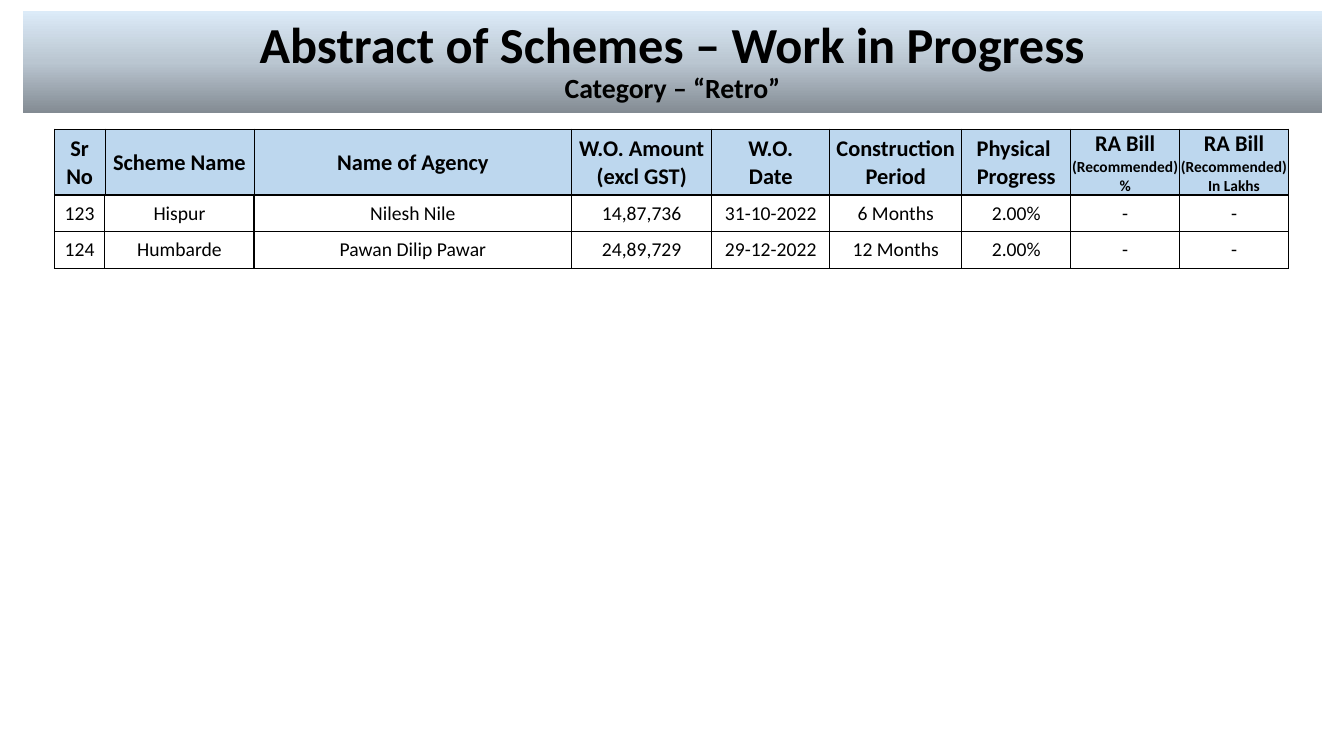
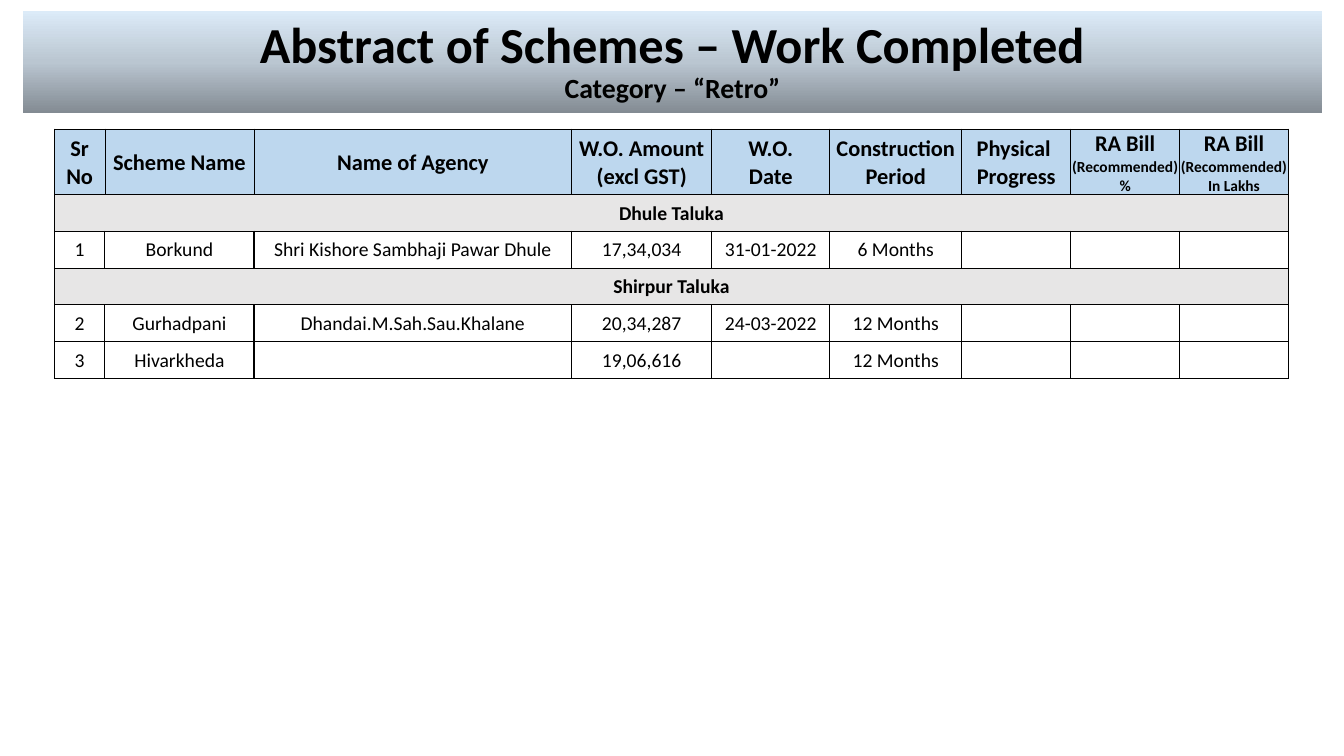
"""Build the two scheme abstract slides, each with a banner and a table."""
from lxml.etree import SubElement
from pptx import Presentation
from pptx.dml.color import RGBColor
from pptx.enum.text import MSO_ANCHOR, MSO_AUTO_SIZE, PP_ALIGN
from pptx.oxml.ns import qn
from pptx.util import Inches, Pt

BLACK, BLUE, GREY = "000000", "BDD7EE", "E7E6E6"
FADE = [(0, "838B93"), (50, "BAC6D1"), (100, "DCEBF8")]
FONT = "Calibri"
BANNER = {"left": 0.23, "top": 0.11, "width": 12.88, "height": 1.01}
LEFT, TOP = 0.54, 1.28
HEAD_H, ROW_H = 0.65, 0.365
COLS = [0.5, 1.48, 3.15, 1.39, 1.17, 1.31, 1.08, 1.08, 1.08]
PADS = {"margin_left": 0.01, "margin_right": 0.01,
        "margin_top": 0.01, "margin_bottom": 0}

SUB = "Category – “Retro”"
HEADS = ["Sr No", "Scheme Name", "Name of Agency", "W.O. Amount\v(excl GST)",
         "W.O.\vDate", "Construction\vPeriod", "Physical \nProgress",
         "RA Bill\n(Recommended)\n%", "RA Bill\n(Recommended)\nIn Lakhs"]
HEAD_SIZES = [[16, 11, 11] if text.startswith("RA") else [16, 16]
              for text in HEADS]
SLIDES = [
    ("Abstract of Schemes – Work in Progress", [
        ("123", "Hispur", "Nilesh Nile", "14,87,736", "31-10-2022",
         "6 Months", "2.00%", "-", "-"),
        ("124", "Humbarde", "Pawan Dilip Pawar", "24,89,729", "29-12-2022",
         "12 Months", "2.00%", "-", "-"),
    ]),
    ("Abstract of Schemes – Work Completed", [
        ("Dhule Taluka",),
        ("1", "Borkund", "Shri Kishore Sambhaji Pawar Dhule", "17,34,034",
         "31-01-2022", "6 Months"),
        ("Shirpur Taluka",),
        ("2", "Gurhadpani", "Dhandai.M.Sah.Sau.Khalane", "20,34,287",
         "24-03-2022", "12 Months"),
        ("3", "Hivarkheda", "", "19,06,616", "", "12 Months"),
    ]),
]


def color(value):
    """Turn a hex string into a colour."""
    return RGBColor.from_string(value)


def style(run, size, bold):
    """Format one run."""
    for name, value in {"name": FONT, "size": Pt(size), "bold": bold}.items():
        setattr(run.font, name, value)
    run.font.color.rgb = color(BLACK)


def shade(shape):
    """Give the banner its upward gradient."""
    grad = SubElement(shape._element.spPr, qn("a:gradFill"), rotWithShape="1")
    stops = SubElement(grad, qn("a:gsLst"))
    for pos, value in FADE:
        stop = SubElement(stops, qn("a:gs"), pos=str(pos * 1000))
        SubElement(stop, qn("a:srgbClr"), val=value)
    SubElement(grad, qn("a:lin"), ang=str(270 * 60000), scaled="0")


def border(cell, widths):
    """Draw the left, right, top and bottom lines of a cell."""
    props = cell._tc.get_or_add_tcPr()
    for side, width in zip("LRTB", widths):
        line = SubElement(props, qn(f"a:ln{side}"), w=str(Pt(width)))
        fill = SubElement(line, qn("a:solidFill"))
        SubElement(fill, qn("a:srgbClr"), val=BLACK)


def paint(cell, text, sizes, bold, fill, widths):
    """Fill in and format one cell."""
    for name, value in PADS.items():
        setattr(cell, name, Inches(value))
    cell.vertical_anchor = MSO_ANCHOR.MIDDLE
    border(cell, widths)
    if fill:
        cell.fill.solid()
        cell.fill.fore_color.rgb = color(fill)
    else:
        cell.fill.background()
    if text:
        cell.text_frame.text = text
    for para, size in zip(cell.text_frame.paragraphs, sizes):
        para.alignment = PP_ALIGN.CENTER
        for run in para.runs:
            style(run, size, bold)


def grid(slide, count, top, height):
    """Add a plain table with the shared columns."""
    frame = slide.shapes.add_table(count, len(COLS), Inches(LEFT), Inches(top),
                                   Inches(sum(COLS)), Inches(height * count))
    table = frame.table
    table.first_row = table.horz_banding = False
    for col, width in zip(table.columns, COLS):
        col.width = Inches(width)
    return table


def banner(slide, text):
    """Place and format the title."""
    title = slide.shapes.title
    for name, value in BANNER.items():
        setattr(title, name, Inches(value))
    shade(title)
    frame = title.text_frame
    frame.auto_size = MSO_AUTO_SIZE.NONE
    frame.vertical_anchor = MSO_ANCHOR.MIDDLE
    para = frame.paragraphs[0]
    para.text = f"{text}\v{SUB}"
    para.alignment, para.line_spacing = PP_ALIGN.CENTER, 0.9
    for run, size in zip(para.runs, (36, 19.8)):
        style(run, size, True)


def build(slide, title, rows):
    """Fill one slide."""
    banner(slide, title)
    head = grid(slide, 1, TOP, HEAD_H)
    for cell, text, sizes in zip(head.iter_cells(), HEADS, HEAD_SIZES):
        paint(cell, text, sizes, True, BLUE, (0.5, 0.5, 0.5, 1))
    body = grid(slide, len(rows), TOP + HEAD_H, ROW_H)
    for r, row in enumerate(rows):
        band = len(row) == 1
        if band:
            body.cell(r, 0).merge(body.cell(r, len(COLS) - 1))
        for c in range(len(COLS)):
            text = row[c] if c < len(row) else ""
            paint(body.cell(r, c), text, [14], band, GREY if band else None,
                  (1, 1, 1, 1))


def main():
    """Build and save the deck."""
    deck = Presentation()
    deck.slide_width, deck.slide_height = Inches(13.33), Inches(7.5)
    for title, rows in SLIDES:
        build(deck.slides.add_slide(deck.slide_layouts[5]), title, rows)
    deck.save("out.pptx")


if __name__ == "__main__":
    main()
